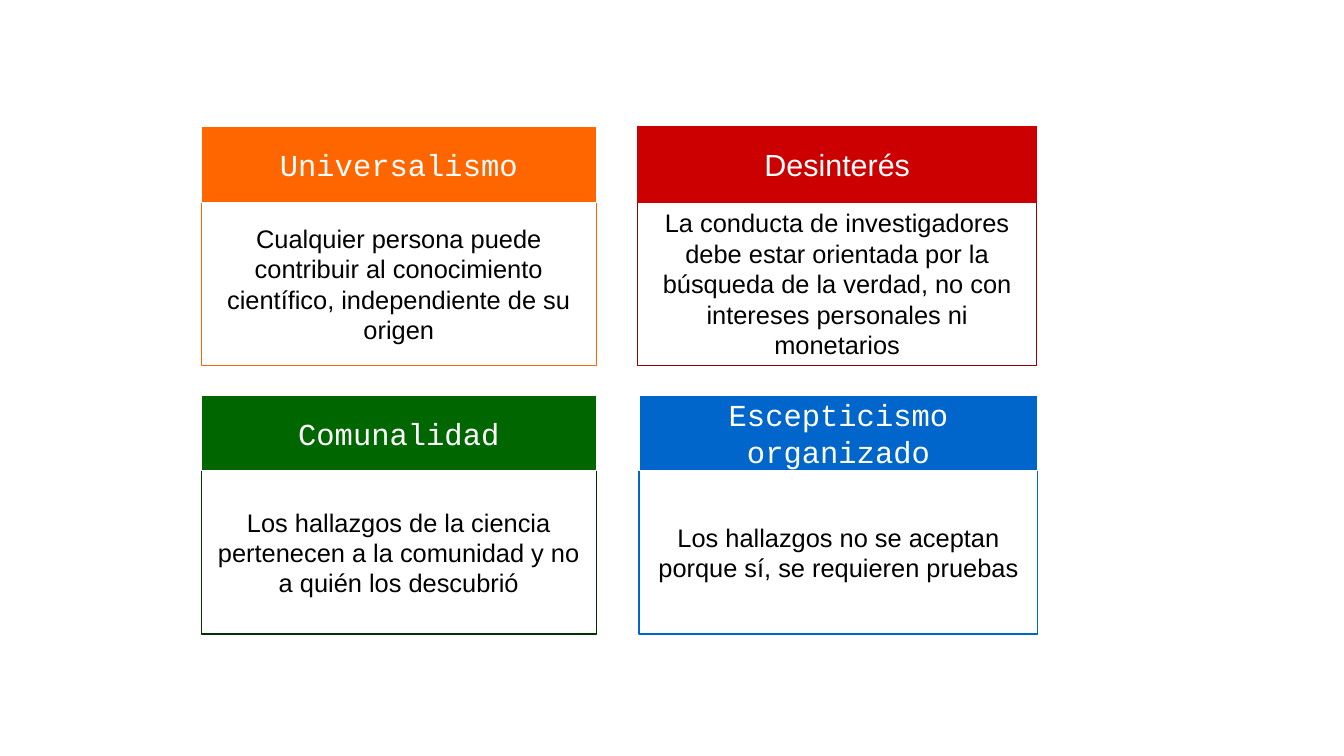
from dataclasses import dataclass

from pptx import Presentation
from pptx.dml.color import RGBColor
from pptx.enum.shapes import MSO_SHAPE
from pptx.enum.text import MSO_ANCHOR, PP_ALIGN
from pptx.shapes.shapetree import SlideShapes
from pptx.util import Inches, Pt

RECTANGLE = MSO_SHAPE.RECTANGLE
CENTER = PP_ALIGN.CENTER
MIDDLE = MSO_ANCHOR.MIDDLE
BOTTOM = MSO_ANCHOR.BOTTOM


@dataclass(frozen=True)
class Theme:
    white: str = "FFFFFF"
    black: str = "000000"
    orange: str = "FF6600"
    red: str = "CC0000"
    dark_red: str = "990000"
    green: str = "006600"
    dark_green: str = "003300"
    blue: str = "0066CC"
    sans: str = "Arial"
    mono: str = "Courier New"
    title_size: int = 18
    body_size: int = 15


THEME = Theme()

HEADER_HEIGHT = 0.62
CARD_HEIGHT = 1.96
LEFT_COLUMN, RIGHT_COLUMN = 1.65, 5.24
LEFT_WIDTH, RIGHT_WIDTH = 3.24, 3.27
TOP_ROW, BOTTOM_ROW = 1.04, 3.24


@dataclass(frozen=True)
class Box:
    left: float
    top: float
    width: float
    height: float


@dataclass(frozen=True)
class Style:
    fill: str
    line: str
    font: str
    size: int
    color: str
    anchor: MSO_ANCHOR = MIDDLE


@dataclass(frozen=True)
class Norm:
    title: str
    description: str
    left: float
    top: float
    width: float
    color: str
    body_line: str
    header_line: str = THEME.white
    title_font: str = THEME.mono
    full_height_body: bool = False


NORMS = (
    Norm("Universalismo",
         "Cualquier persona puede contribuir al conocimiento científico, "
         "independiente de su origen",
         LEFT_COLUMN, TOP_ROW, LEFT_WIDTH, THEME.orange, THEME.orange),
    Norm("Desinterés",
         "La conducta de investigadores debe estar orientada por la búsqueda "
         "de la verdad, no con intereses personales ni monetarios",
         RIGHT_COLUMN - 0.01, TOP_ROW, RIGHT_WIDTH, THEME.red, THEME.dark_red,
         header_line=THEME.red, title_font=THEME.sans, full_height_body=True),
    Norm("Comunalidad",
         "Los hallazgos de la ciencia pertenecen a la comunidad y no a quién "
         "los descubrió",
         LEFT_COLUMN, BOTTOM_ROW, LEFT_WIDTH, THEME.green, THEME.dark_green),
    Norm("Escepticismo organizado",
         "Los hallazgos no se aceptan porque sí, se requieren pruebas",
         RIGHT_COLUMN, BOTTOM_ROW, RIGHT_WIDTH, THEME.blue, THEME.blue),
)


def add_text_box(shapes: SlideShapes, box: Box, text: str, style: Style) -> None:
    shape = shapes.add_shape(RECTANGLE, Inches(box.left), Inches(box.top),
                             Inches(box.width), Inches(box.height))
    shape.shadow.inherit = False
    shape.fill.solid()
    shape.fill.fore_color.rgb = RGBColor.from_string(style.fill)
    shape.line.color.rgb = RGBColor.from_string(style.line)
    shape.line.width = Pt(0)

    text_frame = shape.text_frame
    text_frame.word_wrap = True
    text_frame.vertical_anchor = style.anchor
    text_frame.text = text
    paragraph = text_frame.paragraphs[0]
    paragraph.alignment = CENTER
    font = paragraph.runs[0].font
    font.name = style.font
    font.size = Pt(style.size)
    font.color.rgb = RGBColor.from_string(style.color)


def add_norm(shapes: SlideShapes, norm: Norm) -> None:
    """Draw the description box first, so that the header lies over its edge."""
    offset = 0 if norm.full_height_body else HEADER_HEIGHT
    body = Box(norm.left, norm.top + offset, norm.width, CARD_HEIGHT - offset)
    anchor = BOTTOM if norm.full_height_body else MIDDLE
    add_text_box(shapes, body, norm.description,
                 Style(THEME.white, norm.body_line, THEME.sans,
                       THEME.body_size, THEME.black, anchor))

    header = Box(norm.left, norm.top, norm.width, HEADER_HEIGHT)
    add_text_box(shapes, header, norm.title,
                 Style(norm.color, norm.header_line, norm.title_font,
                       THEME.title_size, THEME.white))


def main() -> None:
    presentation = Presentation()
    presentation.slide_width = Inches(11.02)
    presentation.slide_height = Inches(6.2)
    slide = presentation.slides.add_slide(presentation.slide_layouts[6])
    for norm in NORMS:
        add_norm(slide.shapes, norm)
    presentation.save("out.pptx")


if __name__ == "__main__":
    main()
